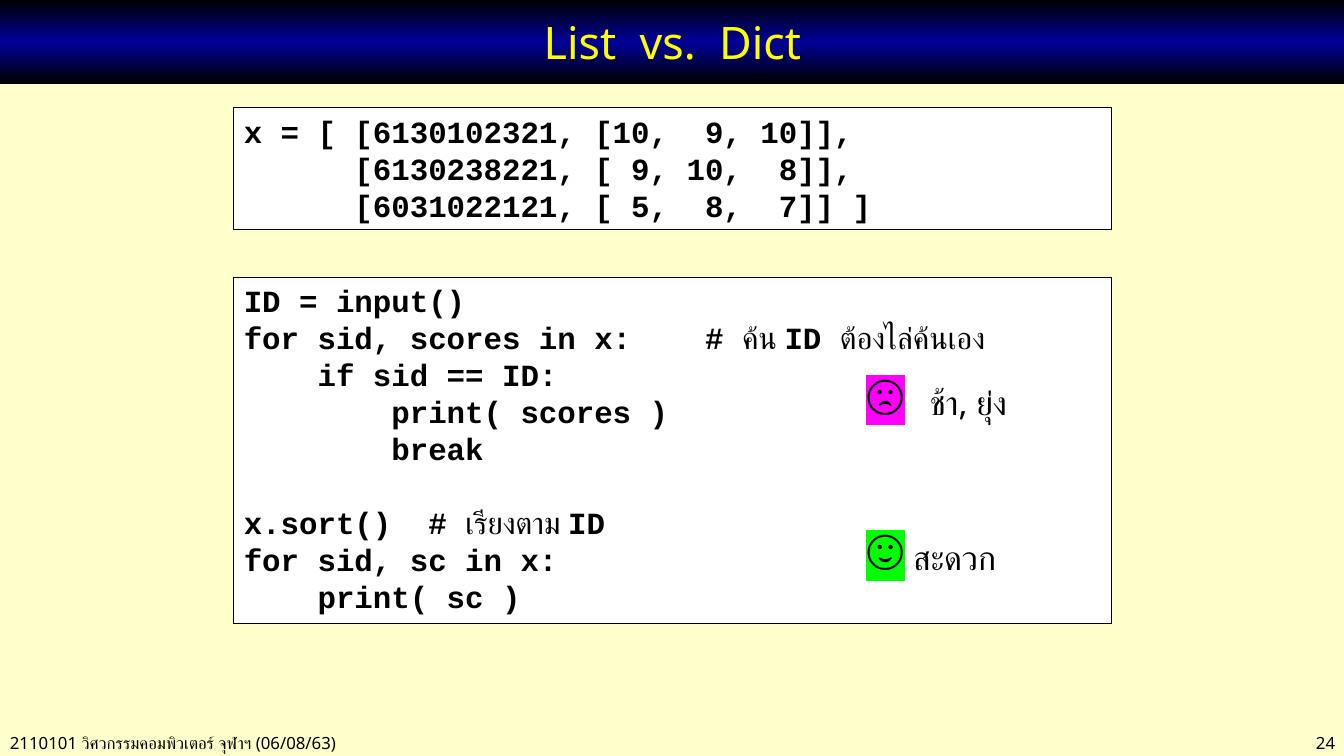
from copy import deepcopy
from pptx import Presentation
from pptx import util as u
from pptx.dml.color import RGBColor
from pptx.enum import shapes, text
from pptx.oxml import parse_xml
from pptx.oxml.ns import nsdecls, qn

HUE = {"page": "FFFFCC", "ink": "000000", "navy": "000099", "title": "FFFF00",
       "box": "FFFFFF", "sad": "FF00FF", "glad": "00FF00"}
SANS, MONO = "Noto Sans", "Courier New"
LEAD = 26.4  # line pitch of the code, points


def rgb(name):
    return RGBColor.from_string(HUE[name])


def write(para, words, size=12, font=SANS, hue="ink", bold=False, mark=None):
    run = para.add_run()
    run.text = words
    run.font.size = u.Pt(size)
    run.font.name = font
    run.font.bold = bold
    run.font.color.rgb = rgb(hue)
    if mark:
        glow = parse_xml(f'<a:highlight {nsdecls("a")}><a:srgbClr val="{HUE[mark]}"/></a:highlight>')
        run.font._element.find(qn("a:solidFill")).addnext(glow)


deck = Presentation()
deck.slide_width, deck.slide_height = u.Inches(13.33), u.Inches(7.5)
slide = deck.slides.add_slide(deck.slide_layouts[5])
slide.background.fill.solid()
slide.background.fill.fore_color.rgb = rgb("page")

# Title bar: black, navy, black from top to bottom
title = slide.shapes.title
title.left, title.top = 0, 0
title.width, title.height = u.Inches(13.34), u.Inches(0.83)
title.fill.gradient()
title.fill.gradient_angle = 270
stops = title._element.find(".//" + qn("a:gsLst"))
stops.append(deepcopy(stops[0]))
for stop, (place, name) in zip(title.fill.gradient_stops,
                               [(0, "ink"), (0.5, "navy"), (1, "ink")]):
    stop.position = place
    stop.color.rgb = rgb(name)
title.text_frame.vertical_anchor = text.MSO_ANCHOR.MIDDLE
head = title.text_frame.paragraphs[0]
head.alignment = text.PP_ALIGN.CENTER
write(head, "List  vs.  Dict", size=32, hue="title")

# Code boxes: each line is a list of runs, code and Thai words by turns
data = [["x = [ [6130102321, [10,  9, 10]],"],
        ["      [6130238221, [ 9, 10,  8]],"],
        ["      [6031022121, [ 5,  8,  7]] ]"]]
find = [["ID = input()"],
        ["for sid, scores in x:    # ", "ค้น ", "ID ", "ต้องไล่ค้นเอง"],
        ["    if sid == ID:"],
        ["        print( scores )"],
        ["        break"]]
sort = [["x.sort()  # ", "เรียงตาม ", "ID"],
        ["for sid, sc in x:"],
        ["    print( sc )"]]
for top, high, parts in [(1.07, 1.21, [data]), (2.75, 3.44, [find, sort])]:
    box = slide.shapes.add_shape(shapes.MSO_SHAPE.RECTANGLE, u.Inches(2.32),
                                 u.Inches(top), u.Inches(8.7), u.Inches(high))
    box.shadow.inherit = False
    box.fill.solid()
    box.fill.fore_color.rgb = rgb("box")
    box.line.color.rgb = rgb("ink")
    box.line.width = u.Pt(0.75)
    frame = box.text_frame
    frame.word_wrap = True
    frame.vertical_anchor = text.MSO_ANCHOR.TOP
    para = frame.paragraphs[0]
    for part in parts:
        for row, line in enumerate(part):
            if para.runs:
                para = frame.add_paragraph()
            para.alignment = text.PP_ALIGN.LEFT
            para.line_spacing = u.Pt(LEAD)
            if part is sort and row == 0:
                para.space_before = u.Pt(LEAD)
            for turn, words in enumerate(line):
                write(para, words, size=22, font=MONO, bold=turn % 2 == 0)

# Verdicts and footer: left, top, width, height, alignment, runs
LEFT, RIGHT = text.PP_ALIGN.LEFT, text.PP_ALIGN.RIGHT
notes = [
    (8.49, 3.57, 2.09, 0.71, LEFT, [("☹", 36, "sad"), ("  ", 36, None), ("ช้า, ยุ่ง", 24, None)]),
    (8.49, 5.11, 1.66, 0.71, LEFT, [("☺", 36, "glad"), (" สะดวก", 24, None)]),
    (0, 7.22, 5.2, 0.3, LEFT, [("2110101 วิศวกรรมคอมพิวเตอร์ จุฬาฯ (06/08/63)", 12, None)]),
    (11.5, 7.22, 1.84, 0.3, RIGHT, [("24", 12, None)]),
]
for left, top, wide, high, align, runs in notes:
    note = slide.shapes.add_textbox(u.Inches(left), u.Inches(top), u.Inches(wide), u.Inches(high))
    note.text_frame.word_wrap = True
    para = note.text_frame.paragraphs[0]
    para.alignment = align
    for words, size, mark in runs:
        write(para, words, size=size, mark=mark)

deck.save("out.pptx")
